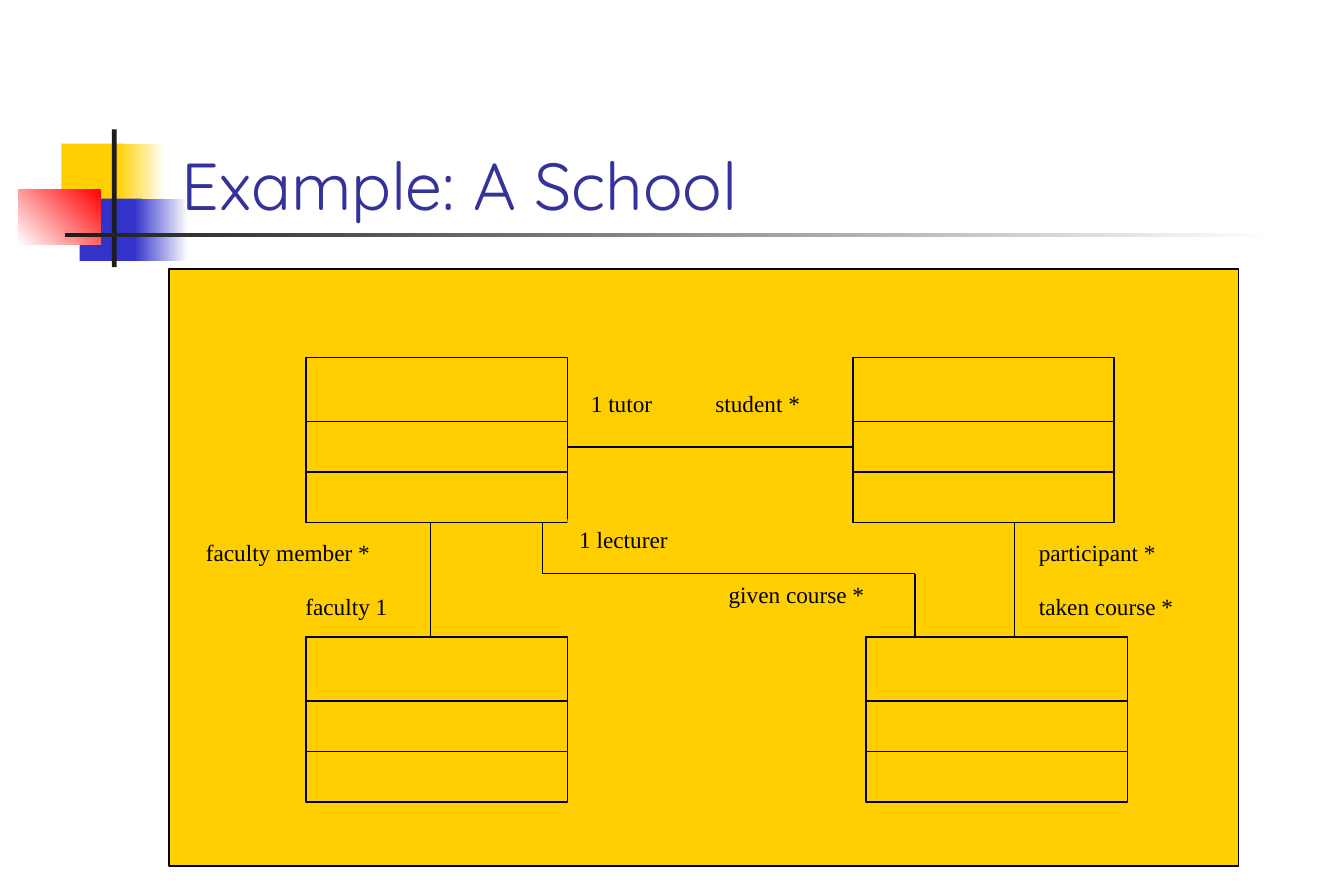
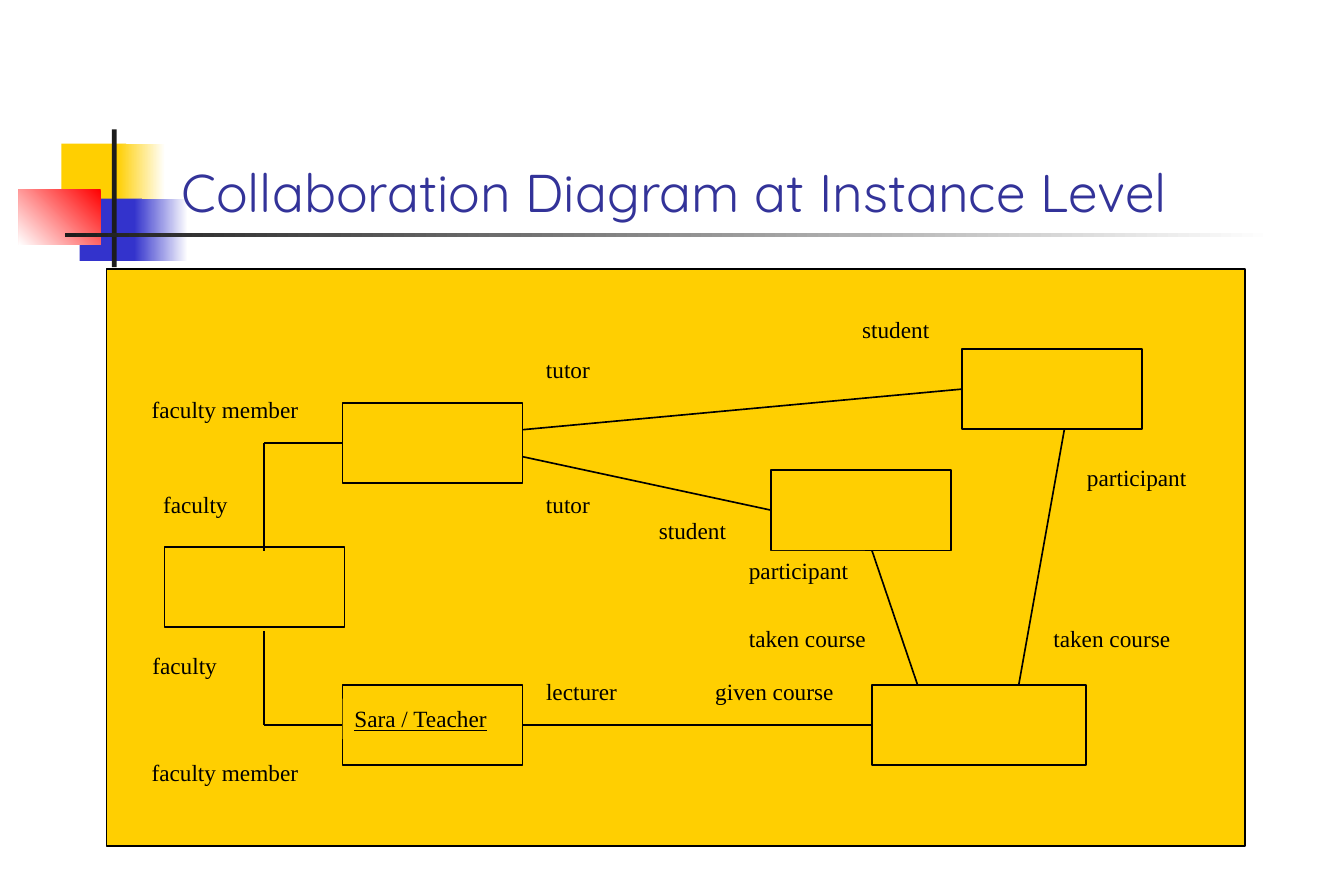
from lxml.etree import SubElement
from pptx import Presentation
from pptx.dml.color import RGBColor
from pptx.enum.shapes import MSO_CONNECTOR, MSO_SHAPE
from pptx.enum.text import MSO_ANCHOR, MSO_AUTO_SIZE
from pptx.oxml.ns import qn
from pptx.util import Pt

YELLOW = RGBColor(0xFF, 0xCF, 0x01)
BLUE = RGBColor(0x33, 0x33, 0xCC)
RED = RGBColor(0xFF, 0x00, 0x00)
CHARCOAL = RGBColor(0x1C, 0x1C, 0x1C)
INDIGO = RGBColor(0x33, 0x33, 0x99)
BLACK = RGBColor(0x00, 0x00, 0x00)
WHITE = RGBColor(0xFF, 0xFF, 0xFF)

TITLE_FONT = "Quicksand"
LABEL_FONT = "Times New Roman"
LABEL_SIZE = 14
LABEL_HEIGHT = 24.5
CLASS_SIZE = (157.5, 99.5)
CLASS_DIVIDERS = (38.5, 69)
OBJECT_SIZE = (108.5, 48.5)
LEFT, RIGHT = 1, 3


class Deck:
    def __init__(self):
        self.presentation = Presentation()
        self.presentation.slide_width = Pt(810)
        self.presentation.slide_height = Pt(540)
        self.slide = None

    def add_slide(self, title, title_size):
        layout = self.presentation.slide_layouts[6]
        self.slide = self.presentation.slides.add_slide(layout)
        self.decoration()
        box = self.text(title, 102.25, 48.25, 690.5, 90, TITLE_FONT, title_size, INDIGO)
        box.text_frame.word_wrap = True
        box.text_frame.vertical_anchor = MSO_ANCHOR.BOTTOM

    def decoration(self):
        self.block(37, 86.5, 39, 37.5, YELLOW)
        self.fade(70.5, 86.5, 29, 37.5, WHITE, YELLOW)
        self.block(48, 119.75, 37.5, 37.5, BLUE)
        self.fade(80.75, 119.75, 32.5, 37.5, WHITE, BLUE)
        self.fade(11.25, 114, 49.5, 33.5, RED, WHITE, 225)
        self.block(67.5, 78, 2.75, 83, CHARCOAL)
        self.fade(39.25, 140.5, 728.5, 2.5, WHITE, CHARCOAL)

    def block(self, left, top, width, height, color):
        shape = self.slide.shapes.add_shape(
            MSO_SHAPE.RECTANGLE, Pt(left), Pt(top), Pt(width), Pt(height))
        shape.shadow.inherit = False
        shape.fill.solid()
        shape.fill.fore_color.rgb = color
        shape.line.fill.background()
        return shape

    def fade(self, left, top, width, height, first, last, angle=180):
        fill = self.block(left, top, width, height, first).fill
        fill.gradient()
        fill.gradient_angle = angle
        for stop, color in zip(fill.gradient_stops, (first, last)):
            stop.color.rgb = color

    def frame(self, left, top, width, height):
        shape = self.block(left, top, width, height, YELLOW)
        shape.line.color.rgb = BLACK
        shape.line.width = Pt(1)
        return shape

    def class_box(self, left, top):
        width, height = CLASS_SIZE
        self.frame(left, top, width, height)
        for offset in CLASS_DIVIDERS:
            self.line((left, top + offset), (left + width, top + offset))

    def object_box(self, left, top, width=OBJECT_SIZE[0]):
        return self.frame(left, top, width, OBJECT_SIZE[1])

    def line(self, begin, end):
        connector = self.slide.shapes.add_connector(MSO_CONNECTOR.STRAIGHT, 0, 0, 0, 0)
        if isinstance(begin[0], (int, float)):
            connector.begin_x, connector.begin_y = Pt(begin[0]), Pt(begin[1])
        else:
            connector.begin_connect(*begin)
        if isinstance(end[0], (int, float)):
            connector.end_x, connector.end_y = Pt(end[0]), Pt(end[1])
        else:
            connector.end_connect(*end)
        connector.line.color.rgb = BLACK
        connector.line.width = Pt(1)
        SubElement(connector._element.spPr, qn("a:effectLst"))

    def route(self, *points):
        for begin, end in zip(points, points[1:]):
            self.line(begin, end)

    def text(self, words, left, top, width, height, font, size, color):
        box = self.slide.shapes.add_textbox(Pt(left), Pt(top), Pt(width), Pt(height))
        run = box.text_frame.paragraphs[0].add_run()
        run.text = words
        run.font.name = font
        run.font.size = Pt(size)
        run.font.color.rgb = color
        return box

    def label(self, words, left, top, width, underline=None):
        box = self.text(words, left, top, width, LABEL_HEIGHT,
                        LABEL_FONT, LABEL_SIZE, BLACK)
        box.fill.solid()
        box.fill.fore_color.rgb = YELLOW
        box.text_frame.word_wrap = False
        box.text_frame.auto_size = MSO_AUTO_SIZE.SHAPE_TO_FIT_TEXT
        box.text_frame.paragraphs[0].runs[0].font.underline = underline

    def labels(self, rows):
        for row in rows:
            self.label(*row)


def school_slide(deck):
    deck.add_slide("Example: A School", 40)
    deck.frame(102, 162, 644.5, 360)
    for left, top in ((184.5, 215.5), (514, 215.5), (522, 384), (184.5, 384)):
        deck.class_box(left, top)
    deck.line((259.5, 315), (259.5, 384))
    deck.route((327, 315), (327, 345.75), (551.5, 345.75), (551.5, 384))
    deck.line((611.5, 315), (611.5, 384))
    deck.line((342, 269.25), (514, 269.25))
    deck.labels((
        ("1 tutor", 349, 231, 54),
        ("student *", 424, 231, 68),
        ("faculty member *", 117, 321, 116),
        ("faculty 1", 177, 353.5, 67),
        ("1 lecturer", 342, 313, 71),
        ("given course *", 432, 346, 99),
        ("participant *", 619, 321, 88),
        ("taken course *", 619, 353.5, 98),
    ))


def collaboration_slide(deck):
    deck.add_slide("Collaboration Diagram at Instance Level", 32)
    deck.frame(64.25, 162, 686, 348)
    tutor = deck.object_box(206.5, 242.75)
    near_student = deck.object_box(464.75, 283.25)
    far_student = deck.object_box(580, 210.25)
    lecturer = deck.object_box(206.5, 412.75)
    deck.object_box(99.25, 329.5)
    course = deck.object_box(525.5, 412.75, 129)

    deck.line((315, 259), (far_student, LEFT))
    deck.line((315, 275.25), (near_student, LEFT))
    deck.route((159.25, 332), (159.25, 267), (tutor, LEFT))
    deck.route((159.25, 380.25), (159.25, 437), (lecturer, LEFT))
    deck.line((lecturer, RIGHT), (course, LEFT))
    deck.line((525.5, 331.75), (553, 412.75))
    deck.line((641.5, 258.75), (614, 412.75))

    deck.label("Sara / Teacher", 206.5, 421, 98, True)
    deck.labels((
        ("faculty member", 84.25, 235, 106),
        ("faculty member", 84.25, 453.5, 106),
        ("faculty", 84.75, 389, 56),
        ("faculty", 91.25, 292, 56),
        ("lecturer", 322, 404.5, 60),
        ("tutor", 322, 210.5, 44),
        ("tutor", 322, 292, 44),
        ("student", 512.5, 186.5, 58),
        ("student", 390, 307.5, 58),
        ("given course", 424, 404.5, 88),
        ("taken course", 444.25, 372.5, 88),
        ("taken course", 627.75, 372.5, 88),
        ("participant", 648, 275.5, 77),
        ("participant", 444.25, 332, 77),
    ))


def main():
    deck = Deck()
    school_slide(deck)
    collaboration_slide(deck)
    deck.presentation.save("out.pptx")


if __name__ == "__main__":
    main()
